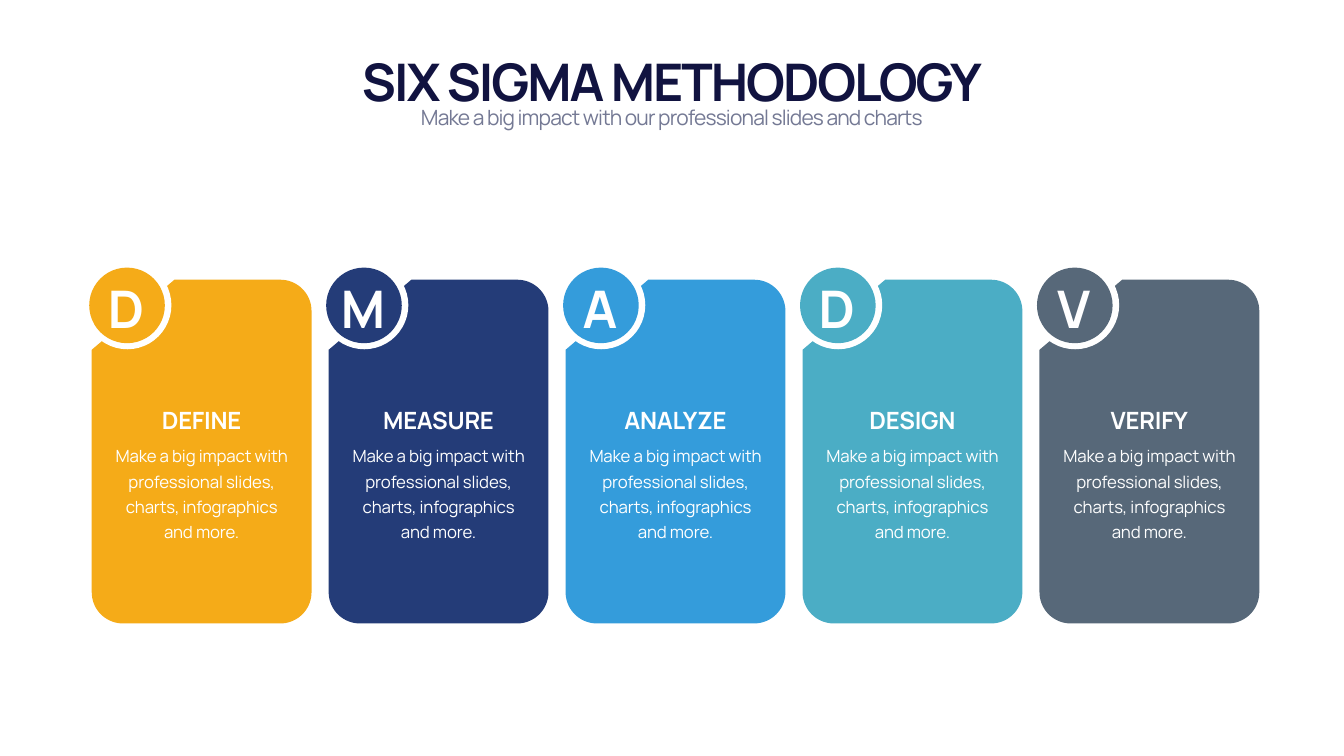
from math import cos, radians, sin

from pptx import Presentation
from pptx.dml.color import RGBColor
from pptx.enum.shapes import MSO_SHAPE
from pptx.enum.text import MSO_ANCHOR, MSO_AUTO_SIZE, PP_ALIGN
from pptx.util import Pt

PX = 9144  # EMU per px, 100 px to the inch
OVAL = MSO_SHAPE.OVAL
TOP, MIDDLE, BOTTOM = MSO_ANCHOR.TOP, MSO_ANCHOR.MIDDLE, MSO_ANCHOR.BOTTOM
CENTER = PP_ALIGN.CENTER
NO_FIT = MSO_AUTO_SIZE.NONE
FONT = "Manrope"
COLORS = {
    "white": "FFFFFF", "title": "111340", "subtitle": "747994",
    "amber": "F5AB18", "navy": "243C78", "blue": "349CDB",
    "teal": "4BADC5", "slate": "576879",
}
DESCRIPTION = "Make a big impact with professional slides, charts, infographics and more."
STEPS = [
    ("D", "DEFINE", "amber"),
    ("M", "MEASURE", "navy"),
    ("A", "ANALYZE", "blue"),
    ("D", "DESIGN", "teal"),
    ("V", "VERIFY", "slate"),
]
LEFT, PITCH = 182, 470
CARD_TOP, CARD_W, CARD_H, RADIUS = 555, 436, 682, 62
CUT_W, CUT_H = 164, 139  # slanted top-left corner


def write(sp, text, box, size, color="white", bold=False, spacing=0,
          anchor=TOP, inset=0, line=None):
    sp.left, sp.top, sp.width, sp.height = [v * PX for v in box]
    tf = sp.text_frame
    tf.word_wrap, tf.auto_size, tf.vertical_anchor = True, NO_FIT, anchor
    tf.margin_left = tf.margin_right = tf.margin_top = tf.margin_bottom = inset * PX
    p = tf.paragraphs[0]
    p.alignment, p.space_before = CENTER, Pt(0)
    if line:
        p.line_spacing = Pt(line)
    r = p.add_run()
    r.text = text
    r.font.name, r.font.size, r.font.bold = FONT, Pt(size), bold
    r.font.color.rgb = RGBColor.from_string(COLORS[color])
    r.font._element.set("spc", str(spacing))


def paint(sp, color):
    sp.shadow.inherit = False
    sp.fill.solid()
    sp.fill.fore_color.rgb = RGBColor.from_string(COLORS[color])
    sp.line.fill.background()


prs = Presentation()
prs.slide_width, prs.slide_height = 2666 * PX, 1500 * PX
s = prs.slides.add_slide(prs.slide_layouts[0])

# Heading
write(s.shapes.title, "SIX SIGMA METHODOLOGY", (166, 82, 2333, 140), 74,
      color="title", bold=True, spacing=-290, anchor=BOTTOM)
write(s.placeholders[1], "Make a big impact with our professional slides and charts",
      (166, 207, 2333, 61), 30, color="subtitle", spacing=-120)

for i, (letter, name, color) in enumerate(STEPS):
    x = LEFT + i * PITCH
    right, bottom = x + CARD_W, CARD_TOP + CARD_H

    # Card: slanted top-left corner, the other three rounded
    points = [(x + CUT_W, CARD_TOP)]
    for cx, cy, start in [(right - RADIUS, CARD_TOP + RADIUS, -90),
                          (right - RADIUS, bottom - RADIUS, 0),
                          (x + RADIUS, bottom - RADIUS, 90)]:
        for angle in range(start, start + 91, 5):
            points.append((cx + RADIUS * cos(radians(angle)),
                           cy + RADIUS * sin(radians(angle))))
    points.append((x, CARD_TOP + CUT_H))
    points = [(px * PX, py * PX) for px, py in points]
    fb = s.shapes.build_freeform(*points[0])
    fb.add_line_segments(points[1:], close=True)
    paint(fb.convert_to_shape(), color)

    # Badge: white ring, then coloured disc
    for dx, y, d, fill in [(-17, 518, 175, "white"), (-5, 531, 150, color)]:
        disc = s.shapes.add_shape(OVAL, (x + dx) * PX, y * PX, d * PX, d * PX)
        paint(disc, fill)

    # Card texts
    for text, box, fmt in [
        (letter, (x + 6, 544, 124, 135),
         dict(size=74, bold=True, spacing=-290, anchor=MIDDLE)),
        (name, (x + 33, 794, 370, 67),
         dict(size=34, bold=True, spacing=-30, anchor=BOTTOM)),
        (DESCRIPTION, (x + 33, 866, 370, 260),
         dict(size=24, spacing=-20, inset=9, line=36)),
    ]:
        write(s.shapes.add_textbox(0, 0, 0, 0), text, box, **fmt)

prs.save("out.pptx")
